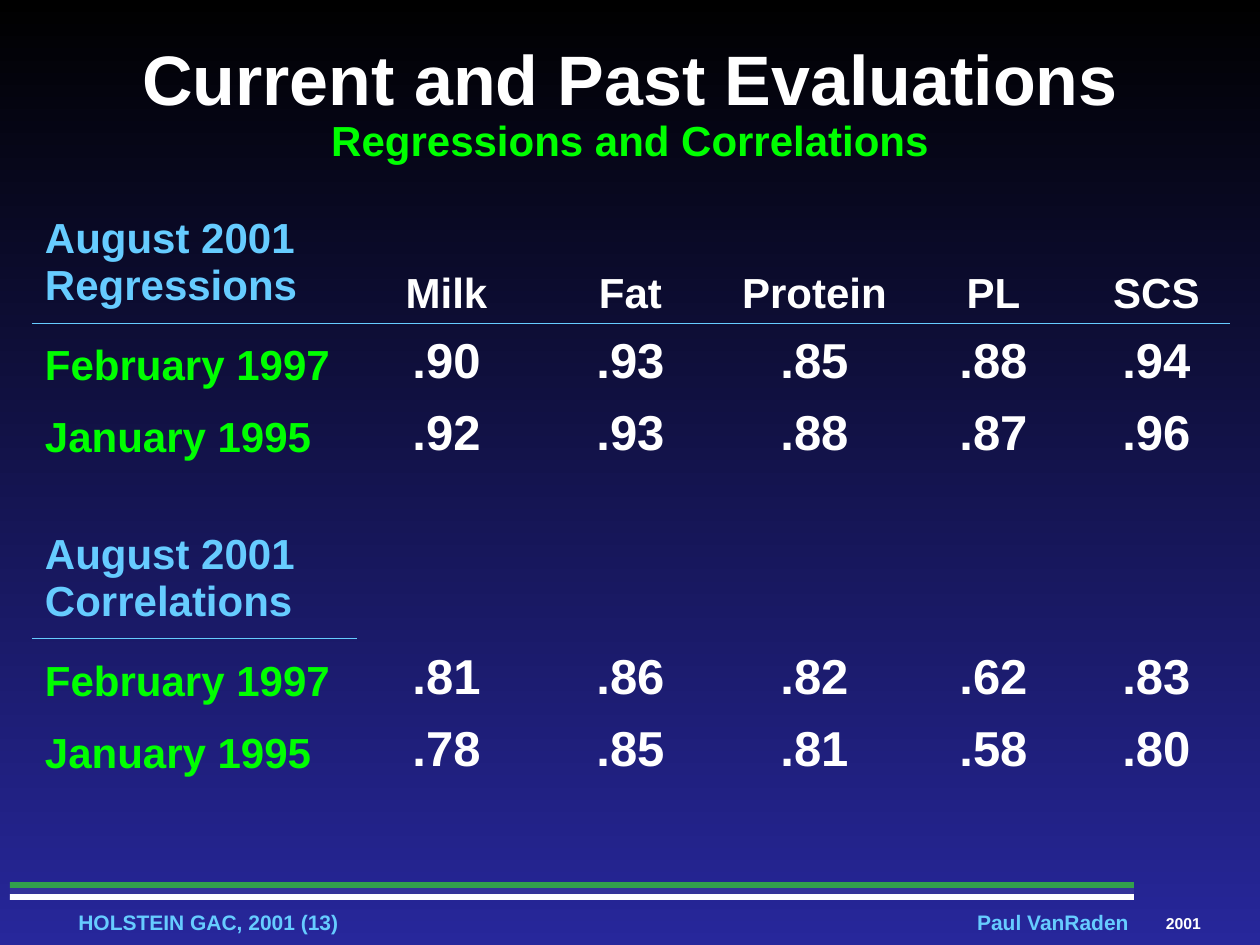
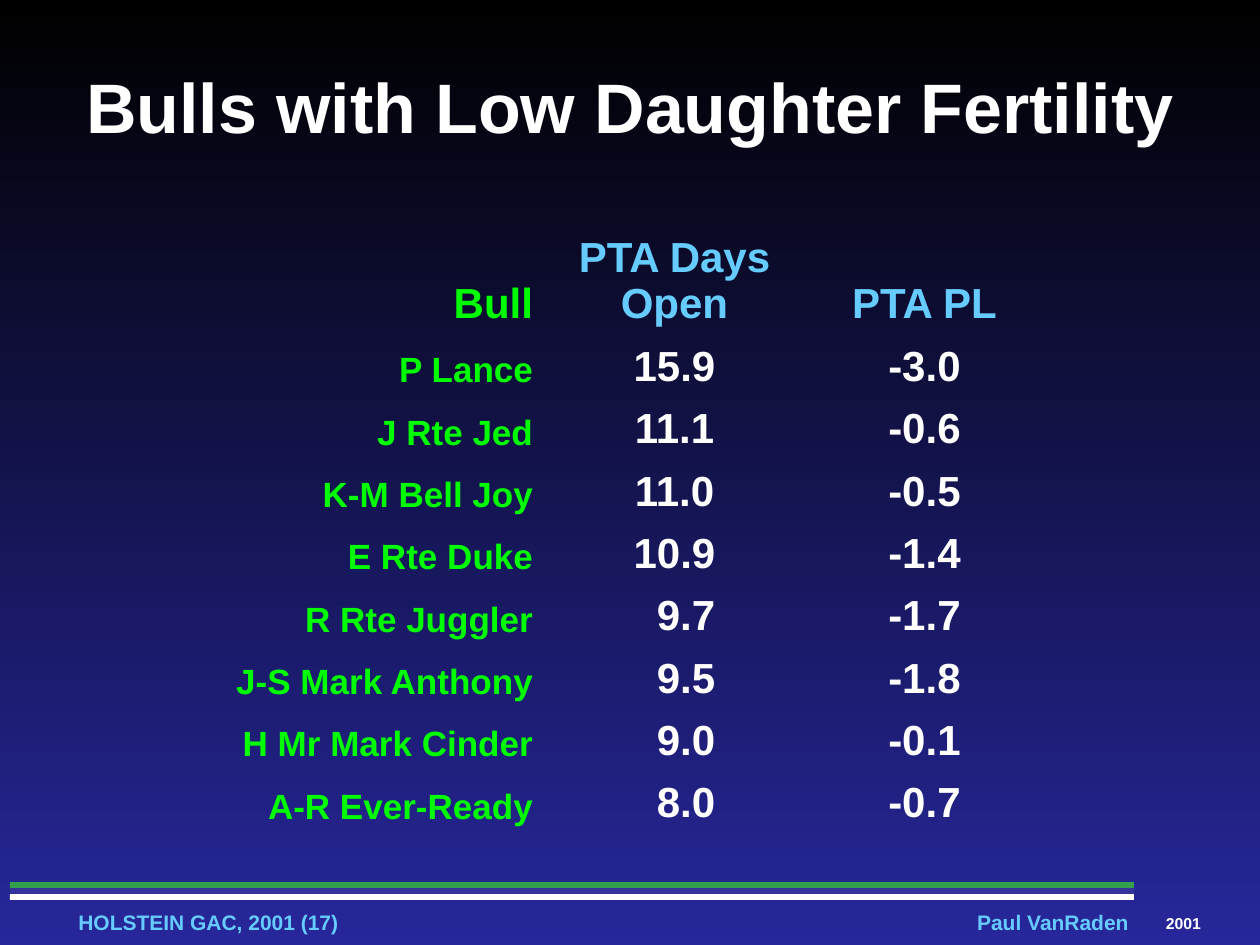
from pptx import Presentation
from pptx.dml.color import RGBColor
from pptx.enum.shapes import MSO_SHAPE as Shape
from pptx.enum.text import MSO_ANCHOR as Anchor, MSO_AUTO_SIZE as AutoSize, PP_ALIGN as Align
from pptx.oxml import parse_xml
from pptx.oxml.ns import nsdecls, qn
from pptx.util import Pt

COLORS = {
    "top": "000000", "bottom": "27279B", "white": "FFFFFF", "lime": "00FF00",
    "sky": "66CCFF", "green": "32A04C", "indigo": "333399",
}
FONT = "Arial"
SCALE = 914400 / 126
PLAIN_TABLE = "{2D5ABB26-0587-4C30-8999-92F81FD0307C}"

BANDS = ["green", "indigo", "white"]
BAND_LEFT, BAND_TOP, BAND_WIDTH, BAND_HEIGHT = 10, 882, 1124, 6
FOOTERS = [
    ("Paul VanRaden", (977, 910, 152, 25), 12, "sky"),
    ("2001", (1166, 914, 35, 19), 9, "white"),
    ("HOLSTEIN GAC, 2001 ({number})", (39, 910, 339, 25), 12, "sky"),
]
TITLE_AREA = (63, 32, 1134, 147)

EVALUATIONS = {
    "number": 13,
    "title": [("Current and Past Evaluations", 40, "white"),
              ("Regressions and Correlations", 24, "lime")],
    "corner": (32, 210),
    "columns": [325, 179, 189, 179, 179, 147],
    "heights": [113, 72, 72, 59, 113, 72, 72],
    "rows": [
        ["August 2001 Regressions", "Milk", "Fat", "Protein", "PL", "SCS"],
        ["February 1997", ".90", ".93", ".85", ".88", ".94"],
        ["January 1995", ".92", ".93", ".88", ".87", ".96"],
        [],
        ["August 2001 Correlations"],
        ["February 1997", ".81", ".86", ".82", ".62", ".83"],
        ["January 1995", ".78", ".85", ".81", ".58", ".80"],
    ],
}
FERTILITY = {
    "number": 17,
    "title": [("Bulls with Low Daughter Fertility", 40, "white")],
    "corner": (126, 221),
    "columns": [413, 271, 229],
    "heights": [107] + [57] * 8,
    "rows": [
        ["Bull", "PTA Days Open", "PTA PL"],
        ["P Lance", "15.9", "-3.0"],
        ["J Rte Jed", "11.1", "-0.6"],
        ["K-M Bell Joy", "11.0", "-0.5"],
        ["E Rte Duke", "10.9", "-1.4"],
        ["R Rte Juggler", "9.7", "-1.7"],
        ["J-S Mark Anthony", "9.5", "-1.8"],
        ["H Mr Mark Cinder", "9.0", "-0.1"],
        ["A-R Ever-Ready", "8.0", "-0.7"],
    ],
}
DIGIT_WIDTH = 23


def px(*lengths):
    return [round(length * SCALE) for length in lengths]


def rgb(name):
    return RGBColor.from_string(COLORS[name])


def write(para, text, size=24, color="white", align=Align.CENTER, line_spacing=None):
    para.alignment = align
    para.line_spacing = line_spacing
    span = para.add_run()
    span.text = text
    font = span.font
    font.name, font.size, font.bold = FONT, Pt(size), True
    font.color.rgb = rgb(color)


def set_margins(box, side, end):
    box.margin_left, box.margin_right, box.margin_top, box.margin_bottom = px(side, side, end, end)


def paint_background(master):
    fill = master.background.fill
    fill.gradient()
    fill.gradient_angle = 270
    for stop, name in zip(fill.gradient_stops, ["top", "bottom"]):
        stop.color.rgb = rgb(name)


def add_footer(page, number):
    for index, name in enumerate(BANDS):
        top = BAND_TOP + index * BAND_HEIGHT
        band = page.shapes.add_shape(Shape.RECTANGLE, *px(BAND_LEFT, top, BAND_WIDTH, BAND_HEIGHT))
        band.shadow.inherit = False
        band.fill.solid()
        band.fill.fore_color.rgb = rgb(name)
        band.line.fill.background()
    for text, area, size, color in FOOTERS:
        frame = page.shapes.add_textbox(*px(*area)).text_frame
        set_margins(frame, 0, 0)
        frame.word_wrap = False
        frame.vertical_anchor = Anchor.MIDDLE
        write(frame.paragraphs[0], text.format(number=number), size=size, color=color)


def add_title(page, lines):
    title = page.shapes.title
    title.left, title.top, title.width, title.height = px(*TITLE_AREA)
    frame = title.text_frame
    frame.auto_size = AutoSize.NONE
    frame.vertical_anchor = Anchor.MIDDLE
    spacing = 0.9 if len(lines) > 1 else 1.0
    for index, (text, size, color) in enumerate(lines):
        para = frame.add_paragraph() if index else frame.paragraphs[0]
        write(para, text, size=size, color=color, line_spacing=spacing)


def add_table(page, content):
    rows, columns, heights = content["rows"], content["columns"], content["heights"]
    area = px(*content["corner"], sum(columns), sum(heights))
    holder = page.shapes.add_table(len(rows), len(columns), *area)
    next(holder.element.iter(qn("a:tableStyleId"))).text = PLAIN_TABLE
    table = holder.table
    table.first_row = table.horz_banding = False
    for column, width in zip(table.columns, px(*columns)):
        column.width = width
    for row, height in zip(table.rows, px(*heights)):
        row.height = height
    for cell in table.iter_cells():
        cell.fill.background()
    return table


def underline(cell):
    cell._tc.get_or_add_tcPr().insert(0, parse_xml(
        f'<a:lnB {nsdecls("a")} w="5715"><a:solidFill>'
        f'<a:srgbClr val="{COLORS["sky"]}"/></a:solidFill></a:lnB>'))


def fill_evaluations(table, rows):
    for r, row in enumerate(rows):
        group_head = bool(row) and row[0].startswith("August")
        for c, text in enumerate(row):
            cell = table.cell(r, c)
            set_margins(cell, 13, 6)
            cell.vertical_anchor = Anchor.TOP if group_head and c == 0 else Anchor.BOTTOM
            if c == 0:
                style = {"color": "sky" if group_head else "lime", "align": Align.LEFT}
            else:
                style = {"size": 24 if group_head else 28}
            write(cell.text_frame.paragraphs[0], text, **style)
            if group_head:
                underline(cell)


def fill_fertility(table, rows):
    for r, row in enumerate(rows):
        for c, text in enumerate(row):
            cell = table.cell(r, c)
            set_margins(cell, 6, 6)
            cell.vertical_anchor = Anchor.BOTTOM
            if c == 0:
                style = {"size": 20 if r else 24, "color": "lime", "align": Align.RIGHT}
            else:
                style = {"color": "white" if r else "sky"}
            if c == 1 and len(text) == 3:
                cell.margin_left += px(DIGIT_WIDTH)[0]
            write(cell.text_frame.paragraphs[0], text, **style)


def main():
    deck = Presentation()
    deck.slide_width, deck.slide_height = px(1260, 945)
    paint_background(deck.slide_master)
    for content, fill_table in [(EVALUATIONS, fill_evaluations), (FERTILITY, fill_fertility)]:
        page = deck.slides.add_slide(deck.slide_layouts[5])
        add_footer(page, content["number"])
        add_title(page, content["title"])
        fill_table(add_table(page, content), content["rows"])
    deck.save("out.pptx")


if __name__ == "__main__":
    main()
